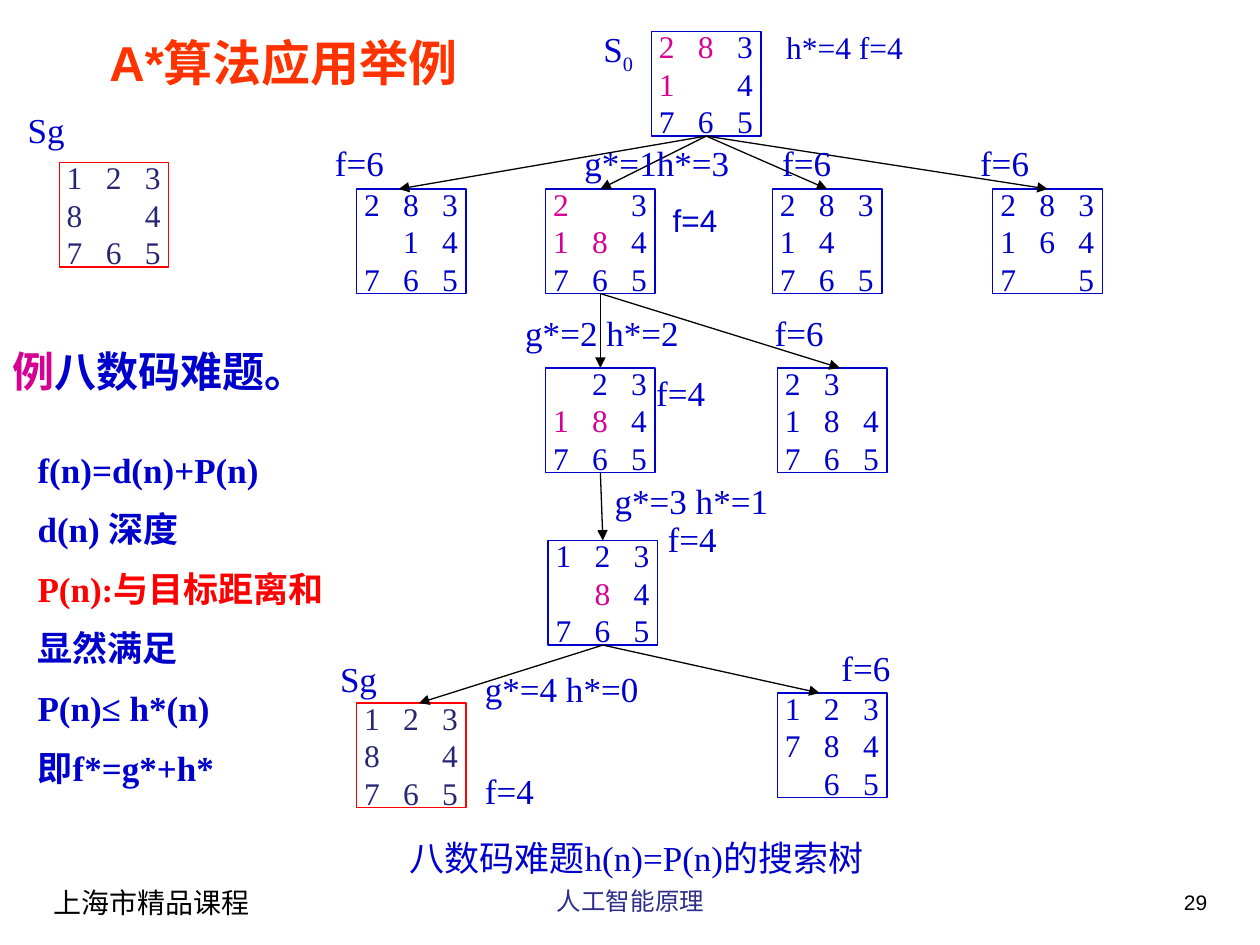
from lxml import etree
from pptx import Presentation
from pptx import util as u
from pptx.dml.color import RGBColor
from pptx.enum import shapes, text
from pptx.oxml.ns import qn

COLORS = {"blue": "0000CC", "navy": "262673", "footer": "2D2D8A", "red": "FF0000",
          "orange": "FF3300", "magenta": "D60093", "black": "000000"}
SERIF, SANS, CJK = "Times New Roman", "Arial", "Noto Sans CJK SC"
BOARD_WIDTH, BOARD_HEIGHT = 0.87, 0.83
GOAL = ("123", "8_4", "765")
TOP, BOTTOM = 0, 2


def format_run(run, size, color, font=SERIF, bold=False):
    run.font.size = u.Pt(size)
    run.font.name = font
    run.font.bold = bold
    run.font.color.rgb = RGBColor.from_string(COLORS[color])
    east_asian = etree.SubElement(run._r.get_or_add_rPr(), qn("a:ea"))
    east_asian.set("typeface", CJK)


def add_text(slide, left, top, width, height, lines, size=20, color="blue", font=SERIF,
             bold=False, align=text.PP_ALIGN.LEFT, gap=0):
    """Add a text box; each line is a list of (text, color) runs or a plain string."""
    box = slide.shapes.add_textbox(*map(u.Inches, (left, top, width, height)))
    frame = box.text_frame
    frame.word_wrap = True
    for index, line in enumerate(lines):
        paragraph = frame.paragraphs[0] if index == 0 else frame.add_paragraph()
        paragraph.alignment = align
        if index:
            paragraph.space_before = u.Pt(gap)
        for wording, run_color in [(line, color)] if isinstance(line, str) else line:
            run = paragraph.add_run()
            run.text = wording
            format_run(run, size, run_color, font, bold)
    return box


def add_label(slide, left, top, wording, **style):
    width = 0.75 if len(wording) < 4 else 1.65
    return add_text(slide, left, top, width, 0.43, [wording], **style)


def add_board(slide, left, top, rows, accent="", outline="blue", color="blue"):
    """Draw an eight-puzzle state; '_' is the empty cell, accent lists the marked digits."""
    board = slide.shapes.add_shape(shapes.MSO_SHAPE.RECTANGLE, *map(
        u.Inches, (left, top, BOARD_WIDTH, BOARD_HEIGHT)))
    board.shadow.inherit = False
    board.fill.background()
    board.line.color.rgb = RGBColor.from_string(COLORS[outline])
    board.line.width = u.Pt(0.75)
    frame = board.text_frame
    frame.word_wrap = True
    frame.vertical_anchor = text.MSO_ANCHOR.MIDDLE
    frame.margin_left = u.Inches(0.06)
    frame.margin_right = frame.margin_top = frame.margin_bottom = 0
    for index, row in enumerate(rows):
        paragraph = frame.paragraphs[0] if index == 0 else frame.add_paragraph()
        paragraph.alignment = text.PP_ALIGN.LEFT
        paragraph.line_spacing = u.Pt(21.5)
        tabs = etree.SubElement(paragraph._p.get_or_add_pPr(), qn("a:tabLst"))
        for column in (1, 2):
            etree.SubElement(tabs, qn("a:tab"), pos=str(u.Inches(0.31 * column)), algn="l")
        cells = row.replace("_", " ").rstrip()
        for column, digit in enumerate(cells):
            run = paragraph.add_run()
            run.text = ("\t" if column else "") + digit.strip()
            format_run(run, 18, "magenta" if digit in accent else color)
    return board


def add_arrow(slide, parent, child, end_shift=0):
    """Join parent to child; a shifted end stays free beside the middle of the side."""
    end_x = child.left + child.width // 2 + u.Inches(end_shift)
    arrow = slide.shapes.add_connector(
        shapes.MSO_CONNECTOR.STRAIGHT, parent.left + parent.width // 2,
        parent.top + parent.height, end_x, child.top)
    arrow.begin_connect(parent, BOTTOM)
    if not end_shift:
        arrow.end_connect(child, TOP)
    arrow.line.color.rgb = RGBColor.from_string(COLORS["black"])
    arrow.line.width = u.Pt(0.75)
    etree.SubElement(arrow.line._get_or_add_ln(), qn("a:tailEnd"), type="triangle")
    etree.SubElement(arrow._element.spPr, qn("a:effectLst"))


def add_root(slide, left, top):
    name = add_text(slide, left, top, 0.6, 0.43, ["S", ])
    subscript = name.text_frame.paragraphs[0].add_run()
    subscript.text = "0"
    format_run(subscript, 20, "blue")
    subscript._r.get_or_add_rPr().set("baseline", "-25000")
    add_label(slide, left + 1.45, top, "h*=4 f=4", size=18)
    return add_board(slide, left + 0.48, top + 0.08, ("283", "1_4", "765"), "281")


def add_level(slide, left, top, parent, children, labels):
    """Place one tree level: children are (x, y, end shift, board options)."""
    boards = []
    for x, y, end_shift, options in children:
        board = add_board(slide, left + x, top + y, **options)
        add_arrow(slide, parent, board, end_shift)
        boards.append(board)
    for x, y, wording in labels:
        add_label(slide, left + x, top + y, wording)
    return boards


def add_tree(slide, left, top):
    root = add_root(slide, left + 2.13, top)

    # Four successors of the root
    first = add_level(slide, left, top + 0.9, root, [
        (0.27, 0.43, -0.1, {"rows": ("283", "_14", "765")}),
        (1.77, 0.43, 0, {"rows": ("2_3", "184", "765"), "accent": "218"}),
        (3.57, 0.43, 0, {"rows": ("283", "14_", "765")}),
        (5.32, 0.43, 0, {"rows": ("283", "164", "7_5")}),
    ], [(0, 0, "f=6"), (1.98, 0, "g*=1h*=3"), (3.55, 0, "f=6"), (5.12, 0, "f=6")])
    add_label(slide, left + 2.68, top + 1.38, "f=4", size=18, font=SANS)

    second = add_level(slide, left, top + 2.25, first[1], [
        (1.77, 0.5, 0, {"rows": ("_23", "184", "765"), "accent": "18"}),
        (3.61, 0.5, 0.06, {"rows": ("23_", "184", "765")}),
    ], [(1.51, 0, "g*=2 h*=2"), (3.49, 0, "f=6"), (2.55, 0.48, "f=4")])

    third = add_level(slide, left, top + 3.59, second[0], [
        (1.79, 0.53, 0, {"rows": ("123", "_84", "765"), "accent": "8"}),
    ], [(2.22, 0, "g*=3 h*=1"), (2.64, 0.3, "f=4")])

    # Goal state and its sibling
    add_level(slide, left, top + 4.91, third[0], [
        (0.27, 0.5, 0.06, {"rows": GOAL, "outline": "red", "color": "navy"}),
        (3.61, 0.42, -0.1, {"rows": ("123", "784", "_65")}),
    ], [(0.04, 0.09, "Sg"), (1.19, 0.17, "g*=4 h*=0"), (1.19, 0.98, "f=4"), (4.02, 0, "f=6")])

    add_text(slide, left + 0.59, top + 6.42, 3.89, 0.43, ["八数码难题h(n)=P(n)的搜索树"])


def add_goal_panel(slide, left, top):
    add_label(slide, left, top, "Sg")
    add_board(slide, left + 0.35, top + 0.48, GOAL, outline="red", color="navy")


def add_explanation(slide, left, top):
    add_text(slide, left, top, 3.31, 0.5, [[("例", "magenta"), ("八数码难题。", "blue")]],
             size=24, font=CJK, bold=True)
    add_text(slide, left + 0.2, top + 0.82, 2.53, 2.96, [
        "f(n)=d(n)+P(n)", "d(n) 深度", [("P(n):与目标距离和", "red")],
        "显然满足", "P(n)≤ h*(n)", "即f*=g*+h*"], bold=True, gap=10)


def add_footer(slide, left, top):
    add_text(slide, left, top, 2.67, 0.52, ["上海市精品课程"], 16, "black", CJK)
    add_text(slide, left + 3.09, top, 3.17, 0.52, ["人工智能原理"], 14, "footer", CJK,
             align=text.PP_ALIGN.CENTER)
    add_text(slide, left + 8.25, top + 0.03, 1.1, 0.24, ["29"], 12, "black", SANS,
             align=text.PP_ALIGN.RIGHT)


def main():
    presentation = Presentation()
    presentation.slide_width, presentation.slide_height = u.Inches(10), u.Inches(7.5)
    slide = presentation.slides.add_slide(presentation.slide_layouts[6])

    add_text(slide, 0.2, 0.21, 4.1, 0.57, ["A*算法应用举例"], 28, "orange", SANS, True,
             text.PP_ALIGN.CENTER)
    add_goal_panel(slide, 0.12, 0.81)
    add_explanation(slide, 0, 2.69)
    add_tree(slide, 2.56, 0.17)
    add_footer(slide, 0.33, 6.98)
    presentation.save("out.pptx")


if __name__ == "__main__":
    main()
